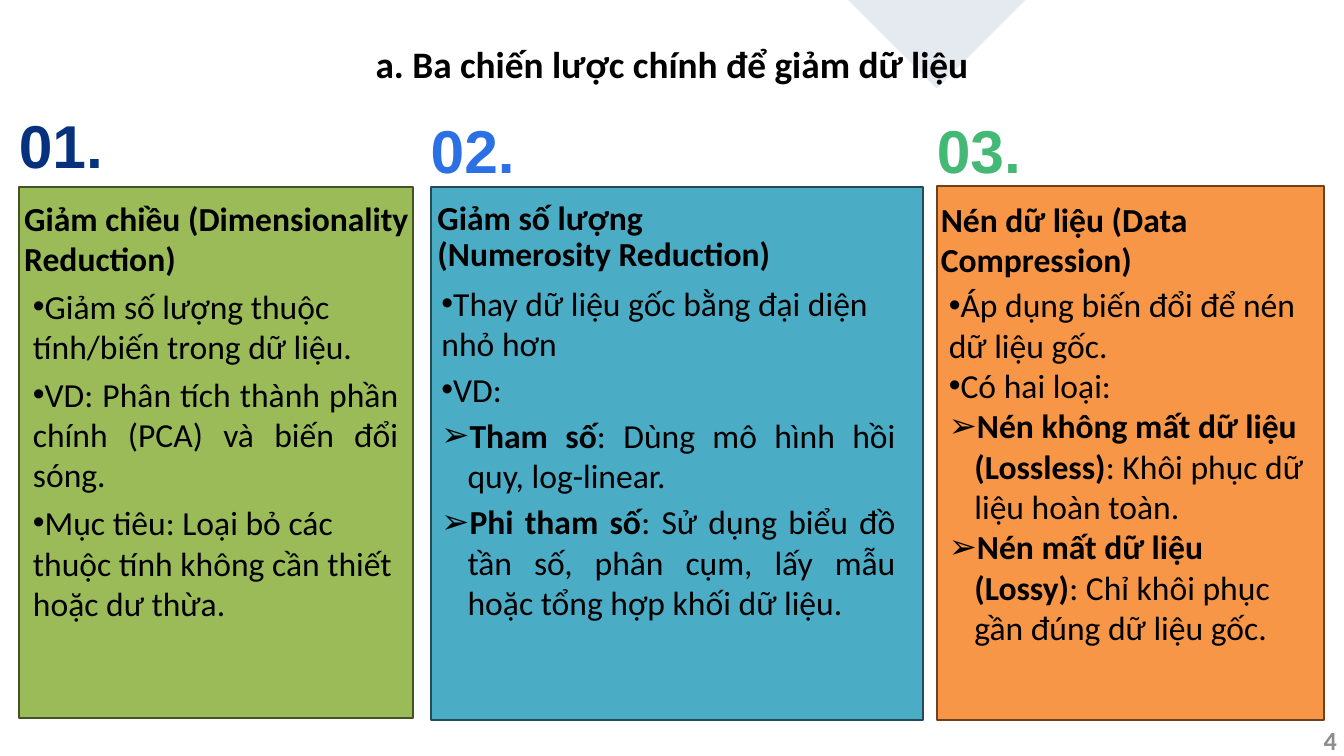
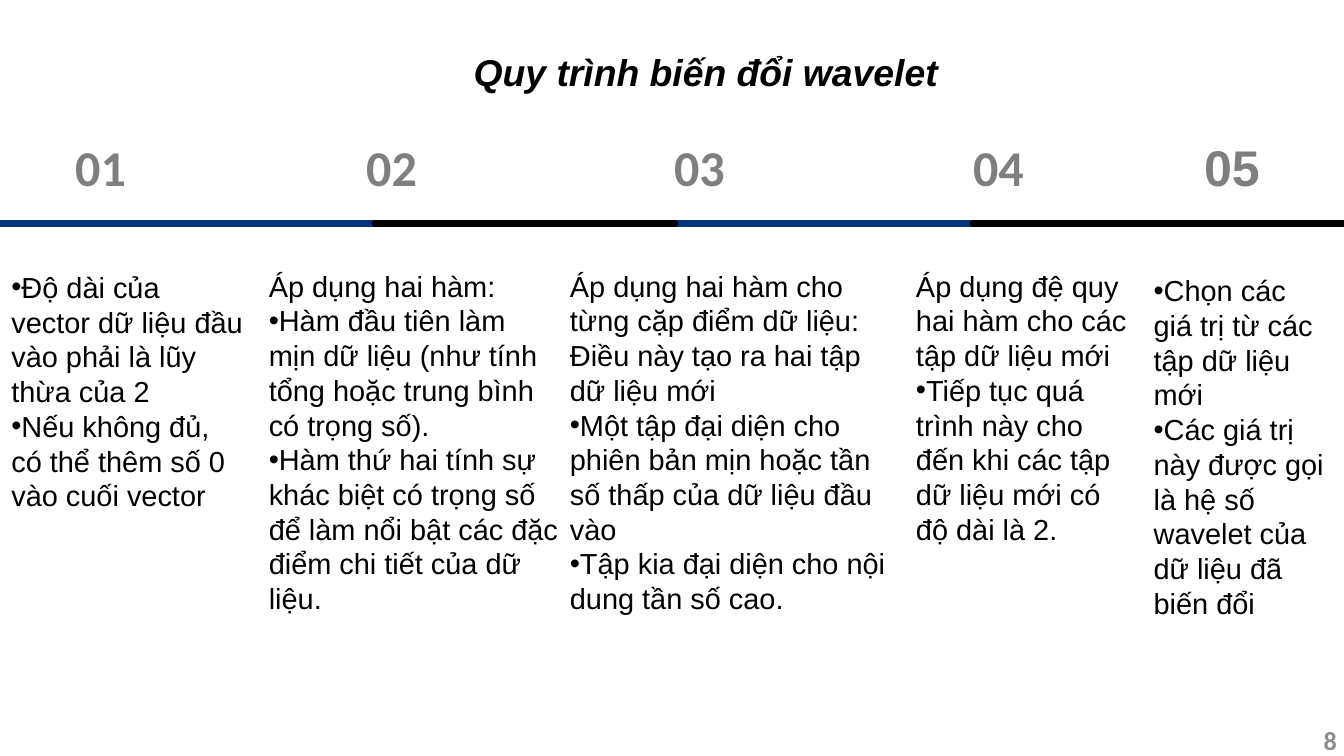
from dataclasses import dataclass
from typing import NamedTuple

from lxml.etree import SubElement
from pptx import Presentation
from pptx.dml.color import RGBColor
from pptx.enum.shapes import MSO_CONNECTOR, MSO_SHAPE
from pptx.enum.text import MSO_ANCHOR, MSO_AUTO_SIZE, PP_ALIGN
from pptx.oxml.ns import qn
from pptx.util import Pt


@dataclass(frozen=True)
class Theme:
    """Colours, fonts and type sizes shared by the slides."""
    black: str = "000000"
    navy: str = "06327D"
    blue: str = "2B70E4"
    green: str = "44B875"
    grey: str = "8C8C8C"
    sans: str = "Arial"
    body: str = "Calibri"
    title_size: float = 40
    card_size: float = 36
    step_size: float = 31
    card_number_size: float = 64.8
    step_number_size: float = 53.7
    page_number_size: float = 28


THEME = Theme()


class Area(NamedTuple):
    """Left, top, width and height in points."""
    left: float
    top: float
    width: float
    height: float

    def lengths(self) -> list[Pt]:
        """Give the four values as lengths."""
        return [Pt(value) for value in self]


@dataclass(frozen=True)
class Item:
    """One paragraph with an optional bold lead and bullet."""
    text: str
    lead: str = ""
    bullet: str = ""
    indent: float = 0
    hanging: float = 0
    align: PP_ALIGN = PP_ALIGN.LEFT


@dataclass(frozen=True)
class Card:
    """A numbered strategy in a filled panel."""
    number: str
    number_colour: str
    number_area: Area
    fill: str
    outline: str
    panel: Area
    heading: str
    heading_area: Area
    heading_spacing: float | None
    items: list[Item]
    items_area: Area
    space_after: float


@dataclass(frozen=True)
class Step:
    """A numbered stage below the timeline."""
    number: str
    number_left: float
    area: Area
    items: list[Item]
    font: str = THEME.body
    inset: bool = False


def dot(text: str, hanging: float = 18, align: PP_ALIGN = PP_ALIGN.LEFT) -> Item:
    """Make a round-bulleted item."""
    return Item(text, bullet="•", hanging=hanging, align=align)


def arrow(lead: str, text: str, indent: float, hanging: float,
          align: PP_ALIGN = PP_ALIGN.LEFT) -> Item:
    """Make an arrow-bulleted item with a bold lead."""
    return Item(text, lead, "➢", indent, hanging, align)


JUSTIFY = PP_ALIGN.JUSTIFY
PAGE_NUMBER = Area(1271.5, 779, 168, 28.8)
AXIS_TOP = 239
AXIS_STOPS = (0, 401.8, 723, 1042.6, 1440)
AXIS_COLOURS = (THEME.navy, THEME.black)
CORNER = ((1117.4, -18.7), (1003.7, 95), (889.9, -18.7))

CARDS = [
    Card("01.", THEME.navy, Area(20.2, 102.2, 172.8, 83.5), "9BBB59", "445227",
         Area(20.2, 200.2, 421.9, 569.5),
         "Giảm chiều (Dimensionality Reduction)", Area(25.9, 211.7, 421.2, 90), None,
         [dot("Giảm số lượng thuộc tính/biến trong dữ liệu."),
          dot("VD: Phân tích thành phần chính (PCA) và biến đổi sóng.", align=JUSTIFY),
          dot("Mục tiêu: Loại bỏ các thuộc tính không cần thiết hoặc dư thừa.")],
         Area(35.3, 306, 391.7, 377.3), 8),
    Card("02.", THEME.blue, Area(461.5, 108, 172.8, 83.5), "4BACC6", "214B57",
         Area(462.2, 200.2, 526.3, 571.7),
         "Giảm số lượng (Numerosity Reduction)", Area(468.7, 214.6, 399.6, 79.9), 39.2,
         [dot("Thay dữ liệu gốc bằng đại diện nhỏ hơn"),
          dot("VD:"),
          arrow("Tham số", ": Dùng mô hình hồi quy, log-linear.", 28, 46, JUSTIFY),
          arrow("Phi tham số", ": Sử dụng biểu đồ tần số, phân cụm, lấy mẫu hoặc "
                "tổng hợp khối dữ liệu.", 28, 46, JUSTIFY)],
         Area(473, 303.1, 486.7, 367.2), 6),
    Card("03.", THEME.green, Area(1003.7, 108, 172.8, 83.5), "F79646", "6C421F",
         Area(1003.7, 199.4, 414.7, 571.7),
         "Nén dữ liệu (Data Compression)", Area(1008, 213.1, 414, 87.1), None,
         [dot("Áp dụng biến đổi để nén dữ liệu gốc."),
          dot("Có hai loại:"),
          arrow("Nén không mất dữ liệu (Lossless)", ": Khôi phục dữ liệu hoàn toàn.", 27.4, 45),
          arrow("Nén mất dữ liệu (Lossy)", ": Chỉ khôi phục gần đúng dữ liệu gốc.", 27.4, 45)],
         Area(1016.6, 304.6, 385.2, 391.7), 0),
]

STEPS = [
    Step("01", 80.6, Area(12.2, 288.7, 248.4, 262.8),
         [dot("Độ dài của vector dữ liệu đầu vào phải là lũy thừa của 2", 45),
          dot("Nếu không đủ, có thể thêm số 0 vào cuối vector", 45)]),
    Step("02", 392.4, Area(288, 287.3, 310.3, 388.1),
         [Item("Áp dụng hai hàm:"),
          dot("Hàm đầu tiên làm mịn dữ liệu (như tính tổng hoặc trung bình có trọng số).", 36),
          dot("Hàm thứ hai tính sự khác biệt có trọng số để làm nổi bật các đặc điểm "
              "chi tiết của dữ liệu.", 36)]),
    Step("03", 722.2, Area(610.6, 287.3, 344.9, 388.1),
         [Item("Áp dụng hai hàm cho từng cặp điểm dữ liệu:"),
          Item("Điều này tạo ra hai tập dữ liệu mới"),
          dot("Một tập đại diện cho phiên bản mịn hoặc tần số thấp của dữ liệu đầu vào", 45),
          dot("Tập kia đại diện cho nội dung tần số cao.", 45)]),
    Step("04", 1042.6, Area(981.4, 287.3, 234, 310.3),
         [Item("Áp dụng đệ quy hai hàm cho các tập dữ liệu mới"),
          dot("Tiếp tục quá trình này cho đến khi các tập dữ liệu mới có độ dài là 2.", 45)]),
    Step("05", 1290.2, Area(1229, 288.7, 198.7, 395.3),
         [dot("Chọn các giá trị từ các tập dữ liệu mới", 45),
          dot("Các giá trị này được gọi là hệ số wavelet của dữ liệu đã biến đổi", 45)],
         font=THEME.sans, inset=True),
]


def fade(element, percent: int) -> None:
    """Set the opacity of the first colour in an element."""
    colour = next(element.iter(qn("a:srgbClr")))
    SubElement(colour, qn("a:alpha"), val=str(percent * 1000))


def add_text(shapes, area: Area, text: str | list[Item], *, size: float, font: str = THEME.body,
             colour: str = THEME.black, bold: bool = False, italic: bool = False,
             align: PP_ALIGN | None = None, inset: bool = False, spacing: float | None = None,
             after: float = 0, opacity: int = 100, grow: bool = True) -> None:
    """Add a text box holding plain text or a list of items."""
    frame = shapes.add_textbox(*area.lengths()).text_frame
    frame.word_wrap = True
    frame.auto_size = MSO_AUTO_SIZE.SHAPE_TO_FIT_TEXT if grow else MSO_AUTO_SIZE.NONE
    frame.vertical_anchor = MSO_ANCHOR.TOP if grow else MSO_ANCHOR.MIDDLE
    if not inset:
        frame.margin_left = frame.margin_top = frame.margin_right = frame.margin_bottom = 0
    items = [Item(text)] if isinstance(text, str) else text
    for index, item in enumerate(items):
        para = frame.add_paragraph() if index else frame.paragraphs[0]
        para.alignment = align or item.align
        para.space_after = Pt(after)
        if spacing:
            para.line_spacing = Pt(spacing)
        if item.bullet:
            properties = para._p.get_or_add_pPr()
            properties.set("marL", str(Pt(item.indent)))
            properties.set("indent", str(-Pt(item.hanging)))
            SubElement(properties, qn("a:buFont"), typeface=THEME.sans)
            SubElement(properties, qn("a:buChar"), char=item.bullet)
        for words, strong in ((item.lead, True), (item.text, bold)):
            if not words:
                continue
            span = para.add_run()
            span.text = words
            span.font.name, span.font.size = font, Pt(size)
            span.font.bold, span.font.italic = strong, italic
            span.font.color.rgb = RGBColor.from_string(colour)
            if opacity < 100:
                fade(span._r, opacity)


def add_page(deck, title: str, title_area: Area, number: int, *,
             font: str = THEME.body, italic: bool = False):
    """Add a blank page with its title and page number."""
    page = deck.slides.add_slide(deck.slide_layouts[6])
    add_text(page.shapes, title_area, title, size=THEME.title_size, font=font, bold=True,
             italic=italic, align=PP_ALIGN.CENTER, inset=True)
    add_text(page.shapes, PAGE_NUMBER, str(number), size=THEME.page_number_size,
             colour=THEME.grey, bold=True, align=PP_ALIGN.RIGHT, inset=True, grow=False)
    return page


def add_corner(page) -> None:
    """Draw the pale wedge at the top edge."""
    start, *others = [(Pt(x), Pt(y)) for x, y in CORNER]
    builder = page.shapes.build_freeform(*start)
    builder.add_line_segments(others, close=True)
    wedge = builder.convert_to_shape()
    wedge.shadow.inherit = False
    wedge.fill.solid()
    wedge.fill.fore_color.rgb = RGBColor.from_string(THEME.navy)
    wedge.line.fill.background()
    fade(wedge._element.spPr, 10)
    page.shapes._spTree.insert(2, wedge._element)


def add_card(page, card: Card) -> None:
    """Draw a card number and its grouped panel."""
    add_text(page.shapes, card.number_area, card.number, size=THEME.card_number_size,
             font=THEME.sans, colour=card.number_colour, bold=True, spacing=90.8)
    shapes = page.shapes.add_group_shape().shapes
    panel = shapes.add_shape(MSO_SHAPE.RECTANGLE, *card.panel.lengths())
    panel.shadow.inherit = False
    panel.fill.solid()
    panel.fill.fore_color.rgb = RGBColor.from_string(card.fill)
    panel.line.color.rgb = RGBColor.from_string(card.outline)
    panel.line.width = Pt(2)
    add_text(shapes, card.heading_area, card.heading, size=THEME.card_size, bold=True,
             spacing=card.heading_spacing)
    add_text(shapes, card.items_area, card.items, size=THEME.card_size, after=card.space_after)


def add_axis(page) -> None:
    """Draw the timeline in alternating colours, dark parts on top."""
    segments = list(zip(AXIS_STOPS, AXIS_STOPS[1:]))
    for offset, colour in enumerate(AXIS_COLOURS):
        for start, end in segments[offset::2]:
            line = page.shapes.add_connector(MSO_CONNECTOR.STRAIGHT, Pt(start), Pt(AXIS_TOP),
                                             Pt(end), Pt(AXIS_TOP))
            line.line.color.rgb = RGBColor.from_string(colour)
            line.line.width = Pt(7.5)
            line.line._ln.set("cap", "rnd")
            SubElement(line._element.spPr, qn("a:effectLst"))


def add_step(page, step: Step) -> None:
    """Draw a step number and its text."""
    add_text(page.shapes, Area(step.number_left, 135.4, 369.4, 72), step.number,
             size=THEME.step_number_size, font=step.font, bold=True, spacing=75.2, opacity=49)
    add_text(page.shapes, step.area, step.items, size=THEME.step_size, font=THEME.sans,
             inset=step.inset)


def main() -> None:
    """Build and save the deck."""
    deck = Presentation()
    deck.slide_width, deck.slide_height = Pt(1440), Pt(810)

    strategies = add_page(deck, "a. Ba chiến lược chính để giảm dữ liệu",
                          Area(349.9, 40.3, 740.2, 55.4), 4)
    add_corner(strategies)
    for card in CARDS:
        add_card(strategies, card)

    process = add_page(deck, "Quy trình biến đổi wavelet ", Area(399.6, 49, 724.3, 55.4), 8,
                       font=THEME.sans, italic=True)
    add_axis(process)
    for step in STEPS:
        add_step(process, step)

    deck.save("out.pptx")


if __name__ == "__main__":
    main()
